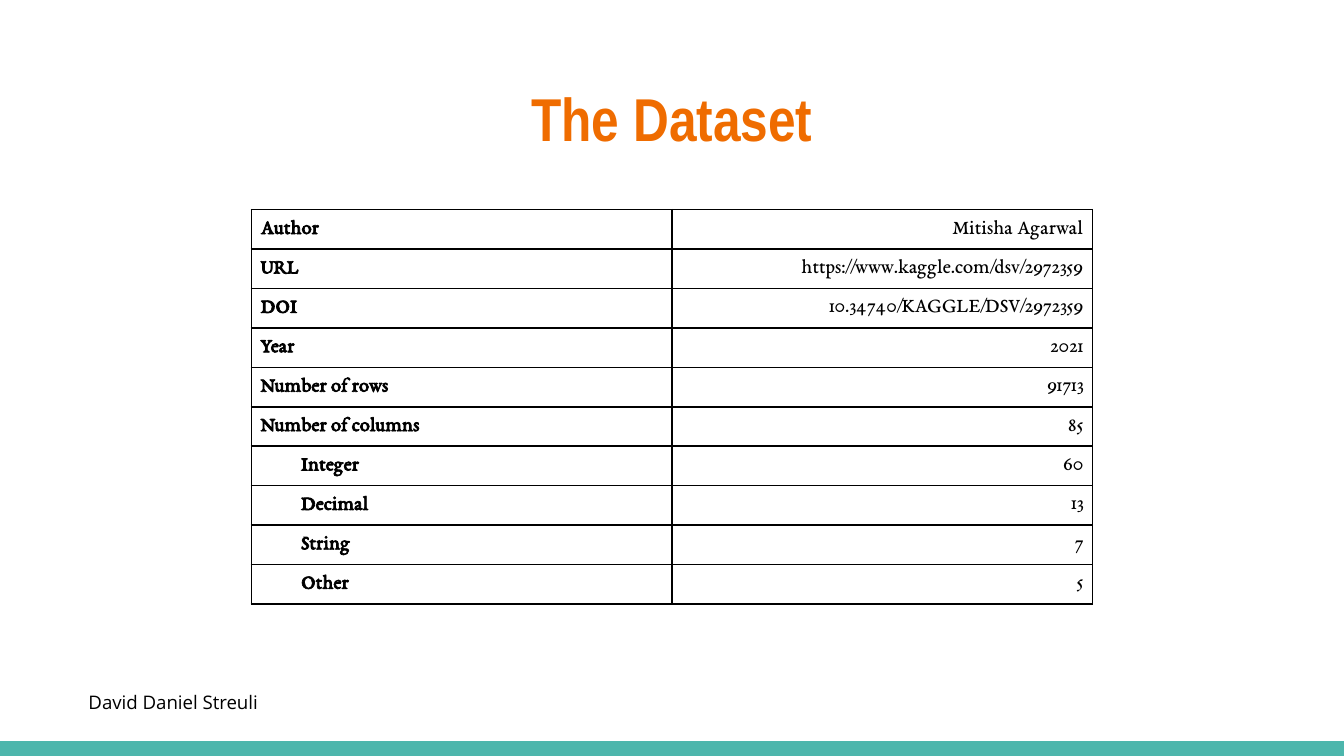
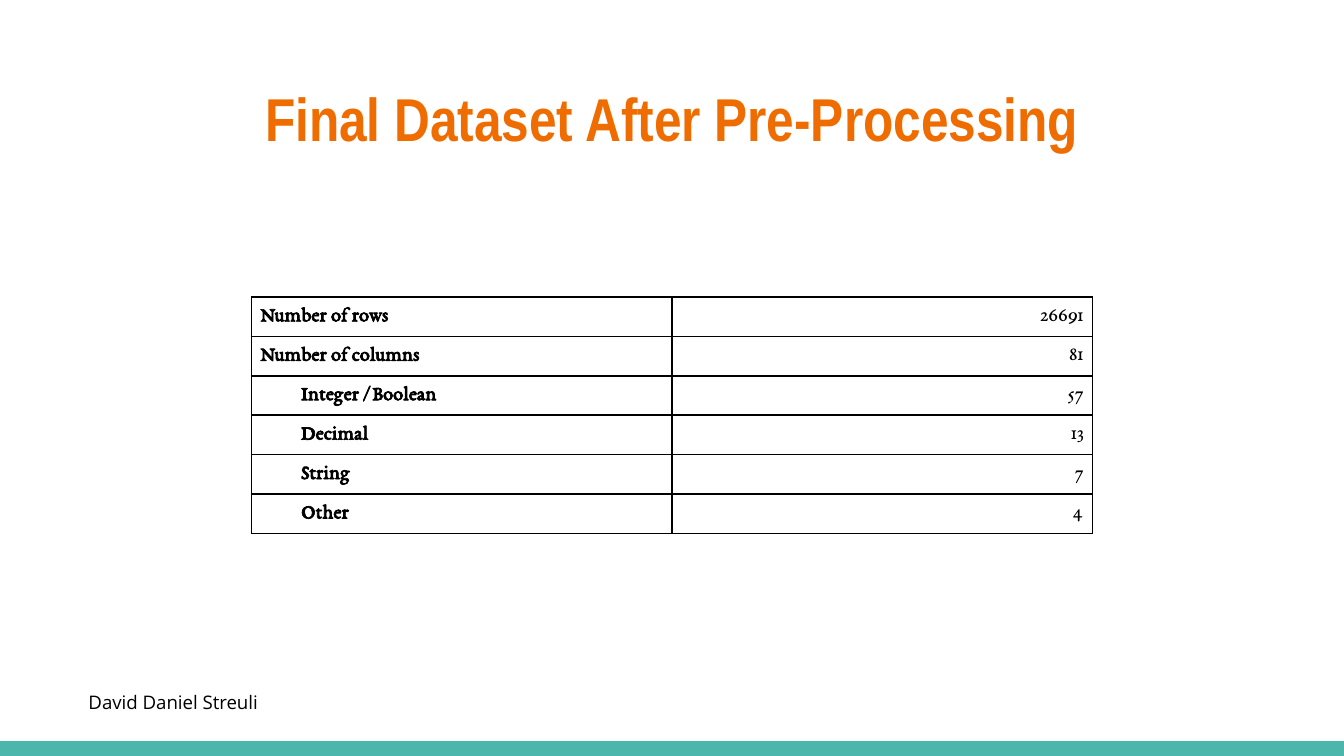
"""Build two slides that describe a dataset before and after pre-processing."""
from lxml import etree
from pptx import Presentation
from pptx.dml.color import RGBColor
from pptx.enum.shapes import MSO_SHAPE
from pptx.enum.text import MSO_ANCHOR, MSO_AUTO_SIZE, PP_ALIGN
from pptx.oxml.ns import qn
from pptx.util import Inches, Pt

SLIDES = [
    ("The Dataset", 1.56, [
        ("Author", "Mitisha Agarwal"),
        ("URL", "https://www.kaggle.com/dsv/2972359"),
        ("DOI", "10.34740/KAGGLE/DSV/2972359"),
        ("Year", "2021"),
        ("Number of rows", "91713"),
        ("Number of columns", "85"),
        ("Integer", "60"),
        ("Decimal", "13"),
        ("String", "7"),
        ("Other", "5"),
    ]),
    ("Final Dataset After Pre-Processing", 2.21, [
        ("Number of rows", "26691"),
        ("Number of columns", "81"),
        ("Integer / Boolean", "57"),
        ("Decimal", "13"),
        ("String", "7"),
        ("Other", "4"),
    ]),
]
NAME = "David Daniel Streuli"
TYPES = {"Integer", "Integer / Boolean", "Decimal", "String", "Other"}

ORANGE = RGBColor(0xEF, 0x6C, 0x00)
TEAL = RGBColor(0x4D, 0xB6, 0xAC)
BLACK = RGBColor(0, 0, 0)
LEFT, CENTER, RIGHT = PP_ALIGN.LEFT, PP_ALIGN.CENTER, PP_ALIGN.RIGHT
TOP, MIDDLE = MSO_ANCHOR.TOP, MSO_ANCHOR.MIDDLE
RECT = MSO_SHAPE.RECTANGLE
FIXED = MSO_AUTO_SIZE.NONE

WIDE, HIGH = 10, 5.625
BAND = 0.11
COL, ROW = 3.13, 0.29
PAD, INDENT = 0.07, 0.3


def write(frame, text, font="EB Garamond", size=11, color=BLACK,
          bold=False, align=LEFT, indent=0):
    par = frame.paragraphs[0]
    par.alignment = align
    if indent:
        par._p.get_or_add_pPr().set("marL", str(Inches(indent)))
    run = par.add_run()
    run.text = text
    run.font.name = font
    run.font.size = Pt(size)
    run.font.bold = bold
    run.font.color.rgb = color


def setup(frame, anchor):
    frame.word_wrap = True
    frame.auto_size = FIXED
    frame.vertical_anchor = anchor
    frame.margin_left = frame.margin_right = Inches(0.1)
    frame.margin_top = frame.margin_bottom = Inches(0.1)


def border(cell):
    props = cell._tc.get_or_add_tcPr()
    for side in ("lnL", "lnR", "lnT", "lnB"):
        line = etree.SubElement(props, qn(f"a:{side}"), w=str(Pt(1)))
        fill = etree.SubElement(line, qn("a:solidFill"))
        etree.SubElement(fill, qn("a:srgbClr"), val=str(BLACK))


def grid(slide, top, rows):
    wide = 2 * COL
    frame = slide.shapes.add_table(
        len(rows), 2, Inches((WIDE - wide) / 2), Inches(top),
        Inches(wide), Inches(ROW * len(rows)))
    table = frame.table
    table.first_row = table.horz_banding = False
    for r, (label, value) in enumerate(rows):
        for c, text in enumerate((label, value)):
            cell = table.cell(r, c)
            cell.margin_left = cell.margin_right = Inches(PAD)
            cell.margin_top = cell.margin_bottom = Inches(PAD)
            border(cell)
            cell.fill.background()
            write(cell.text_frame, text, bold=c == 0,
                  align=RIGHT if c else LEFT,
                  indent=INDENT if c == 0 and label in TYPES else 0)


def build(deck, title, top, rows):
    slide = deck.slides.add_slide(deck.slide_layouts[5])
    band = slide.shapes.add_shape(
        RECT, 0, Inches(HIGH - BAND), Inches(WIDE), Inches(BAND))
    band.shadow.inherit = False
    band.fill.solid()
    band.fill.fore_color.rgb = TEAL
    band.line.fill.background()

    head = slide.shapes.title
    head.left, head.top = Inches(0.34), Inches(0.49)
    head.width, head.height = Inches(WIDE - 2 * 0.34), Inches(0.77)
    setup(head.text_frame, MIDDLE)
    write(head.text_frame, title, font="Arial Narrow", size=32.4,
          color=ORANGE, bold=True, align=CENTER)

    grid(slide, top, rows)

    foot = slide.shapes.add_textbox(
        Inches(0.56), Inches(5.04), Inches(2.09), Inches(0.37))
    setup(foot.text_frame, TOP)
    write(foot.text_frame, NAME, font="Open Sans", size=10)


def main():
    deck = Presentation()
    deck.slide_width, deck.slide_height = Inches(WIDE), Inches(HIGH)
    for title, top, rows in SLIDES:
        build(deck, title, top, rows)
    deck.save("out.pptx")


if __name__ == "__main__":
    main()
